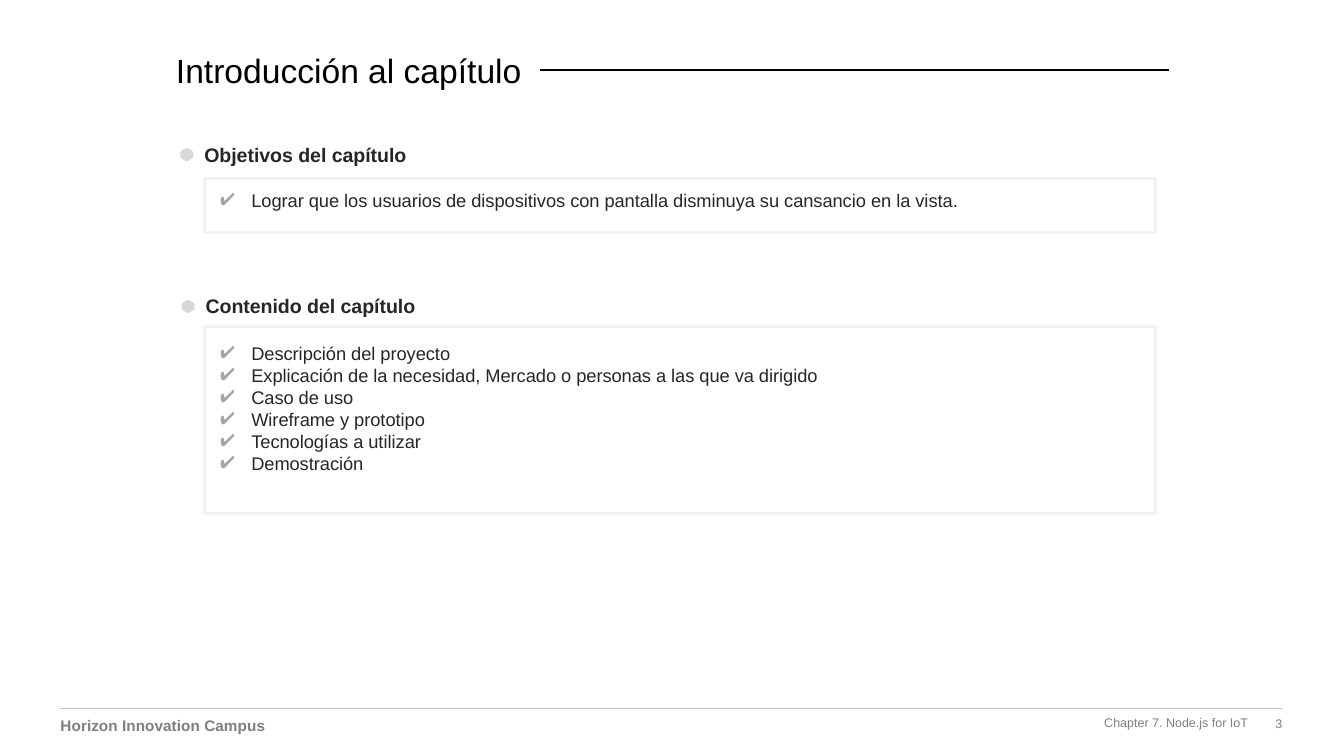
import pptx
import pptx.dml.color
import pptx.enum.shapes
import pptx.enum.text
import pptx.oxml
import pptx.oxml.ns
import pptx.util
from pptx.util import Inches

COLORS = {
    "title": "000000",
    "body": "262626",
    "footer": "7F7F7F",
    "footer_rule": "BFBFBF",
    "frame": "F2F2F2",
    "check": "A5A5A5",
    "hexagon": "D8D8D8",
    "paper": "FFFFFF",
}
ALIGN = pptx.enum.text.PP_ALIGN
ANCHOR = pptx.enum.text.MSO_ANCHOR
HEXAGON_CORNER = [(0.09, 0.03), (0.07, 0.06), (0.02, 0.09)]


def rgb(name):
    """Return the named colour."""
    return pptx.dml.color.RGBColor.from_string(COLORS[name])


def write(frame, lines, size=9.75, color="body", bold=False, align=ALIGN.LEFT,
          anchor=ANCHOR.TOP, inset=0, top_inset=None, checked=False):
    """Fill a text frame with one paragraph per line."""
    frame.word_wrap = True
    frame.vertical_anchor = anchor
    frame.margin_left = frame.margin_right = frame.margin_bottom = Inches(inset)
    frame.margin_top = Inches(inset if top_inset is None else top_inset)
    for index, line in enumerate(lines):
        paragraph = frame.add_paragraph() if index else frame.paragraphs[0]
        paragraph.alignment = align
        run = paragraph.add_run()
        run.text = line
        run.font.name = "Arial"
        run.font.size = pptx.util.Pt(size)
        run.font.bold = bold
        run.font.color.rgb = rgb(color)
        if checked:
            add_check(paragraph)


def add_check(paragraph):
    """Give a paragraph a hanging check-mark bullet."""
    properties = paragraph._p.get_or_add_pPr()
    properties.set("marL", str(Inches(0.23)))
    properties.set("indent", str(-Inches(0.23)))
    namespace = pptx.oxml.ns.nsdecls("a")
    for xml in (
        f'<a:buClr {namespace}><a:srgbClr val="{COLORS["check"]}"/></a:buClr>',
        f'<a:buSzPct {namespace} val="120000"/>',
        f'<a:buChar {namespace} char="✔"/>',
    ):
        properties.append(pptx.oxml.parse_xml(xml))


def add_label(slide, box, text, **style):
    """Place a one-line text box."""
    label = slide.shapes.add_textbox(*map(Inches, box))
    write(label.text_frame, [text], **style)


def add_rule(slide, left, right, y, color, weight):
    """Draw a horizontal line."""
    rule = slide.shapes.add_connector(
        pptx.enum.shapes.MSO_CONNECTOR.STRAIGHT,
        Inches(left), Inches(y), Inches(right), Inches(y))
    rule.line.color.rgb = rgb(color)
    rule.line.width = pptx.util.Pt(weight)
    rule._element.spPr.append(
        pptx.oxml.parse_xml(f'<a:effectLst {pptx.oxml.ns.nsdecls("a")}/>'))


def add_hexagon(slide, center_x, center_y):
    """Draw a soft-cornered hexagon with a thick paper-coloured rim."""
    points = []
    for sign_x, sign_y in ((1, 1), (-1, 1), (-1, -1), (1, -1)):
        corner = HEXAGON_CORNER if sign_x == sign_y else HEXAGON_CORNER[::-1]
        points += [(Inches(center_x + sign_x * x), Inches(center_y + sign_y * y))
                   for x, y in corner]
    builder = slide.shapes.build_freeform(*points[0])
    builder.add_line_segments(points[1:], close=True)
    hexagon = builder.convert_to_shape()
    hexagon.shadow.inherit = False
    hexagon.fill.solid()
    hexagon.fill.fore_color.rgb = rgb("hexagon")
    hexagon.line.color.rgb = rgb("paper")
    hexagon.line.width = pptx.util.Pt(6)


def add_title(slide, left, top, width):
    """Place the slide title and the rule that follows it."""
    add_label(slide, (left, top, 7.2, 0.3), "Introducción al capítulo",
              size=18, color="title")
    add_rule(slide, left + 2.71, left + width, top + 0.15, "title", 1)


def add_section(slide, heading_left, heading_top, frame_box, heading, items,
                top_inset):
    """Place a heading with its hexagon above a framed checklist."""
    frame = slide.shapes.add_shape(
        pptx.enum.shapes.MSO_SHAPE.RECTANGLE, *map(Inches, frame_box))
    frame.shadow.inherit = False
    frame.fill.background()
    frame.line.color.rgb = rgb("frame")
    frame.line.width = pptx.util.Pt(1.5)
    write(frame.text_frame, items, inset=0.12, top_inset=top_inset, checked=True)
    add_label(slide, (heading_left, heading_top, 7.08, 0.18), heading,
              size=10.5, bold=True)
    add_hexagon(slide, heading_left - 0.13, heading_top + 0.09)


def add_footer(slide, left, top, width):
    """Place the footer rule, programme, chapter and page number."""
    right = left + width
    add_rule(slide, left, right, top, "footer_rule", 0.75)
    add_label(slide, (left, top + 0.06, 2.92, 0.14), "Horizon Innovation Campus",
              size=8.25, color="footer", bold=True)
    for text, label_right, offset, label_width in (
        ("Chapter 7. Node.js for IoT", right - 0.25, 0.05, 5.44),
        ("3", right, 0.06, 0.62),
    ):
        add_label(slide, (label_right - label_width, top + offset, label_width, 0.11),
                  text, size=6.75, color="footer", align=ALIGN.RIGHT,
                  anchor=ANCHOR.MIDDLE)


def main():
    """Build and save the chapter introduction slide."""
    deck = pptx.Presentation()
    deck.slide_width = Inches(10)
    deck.slide_height = deck.slide_width * 9 // 16
    slide = deck.slides.add_slide(deck.slide_layouts[6])
    add_footer(slide, 0.45, 5.27, 9.09)
    add_title(slide, 1.31, 0.37, 7.39)
    add_section(
        slide, 1.52, 1.06, (1.52, 1.33, 7.08, 0.4), "Objetivos del capítulo",
        ["Lograr que los usuarios de dispositivos con pantalla disminuya "
         "su cansancio en la vista."], 0.08)
    add_section(
        slide, 1.53, 2.19, (1.52, 2.43, 7.08, 1.39), "Contenido del capítulo",
        ["Descripción del proyecto",
         "Explicación de la necesidad, Mercado o personas a las que va dirigido",
         "Caso de uso",
         "Wireframe y prototipo",
         "Tecnologías a utilizar",
         "Demostración"], 0.12)
    deck.save("out.pptx")


if __name__ == "__main__":
    main()
